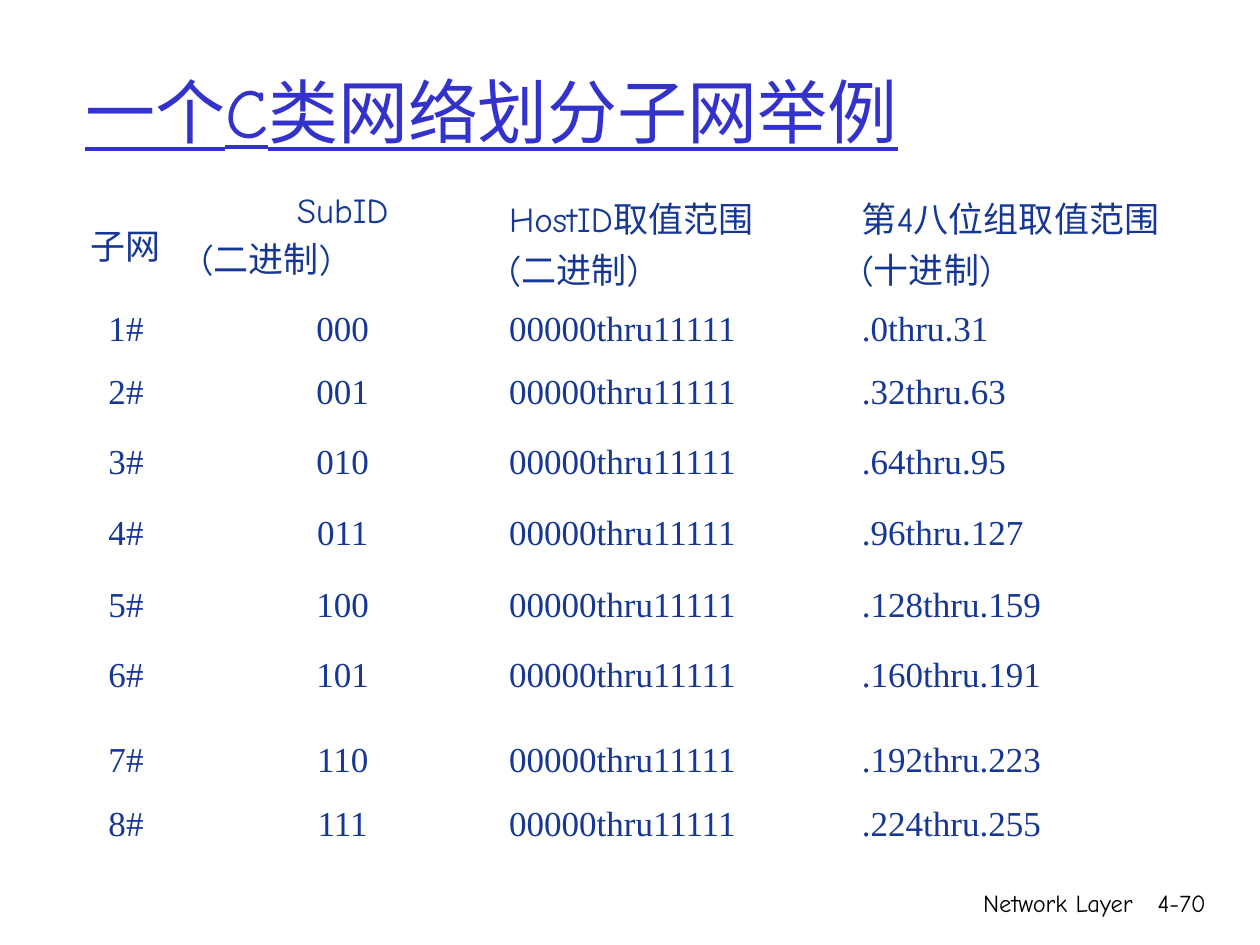
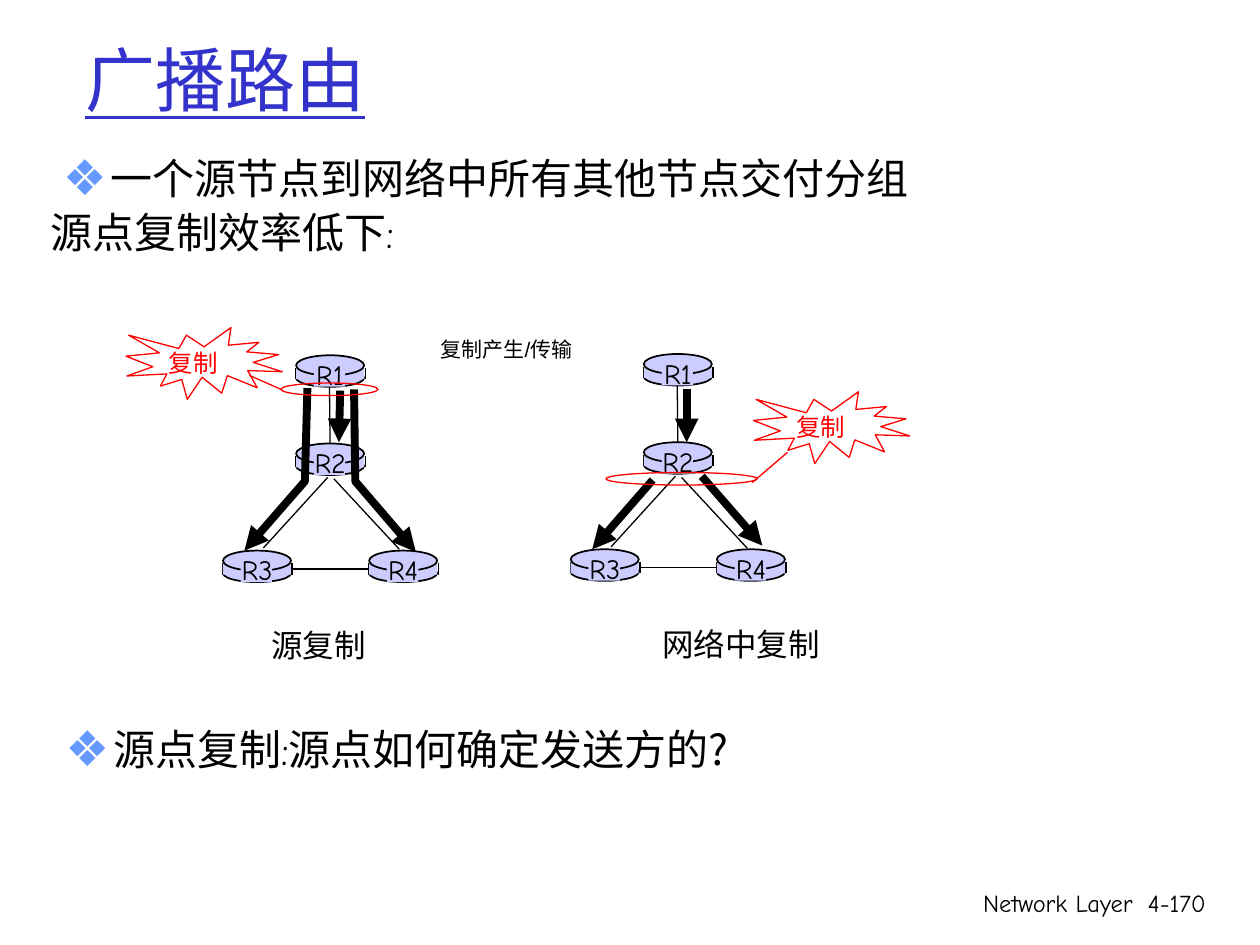
from dataclasses import dataclass

from lxml import etree
from pptx import Presentation
from pptx import util as u
from pptx.dml.color import RGBColor
from pptx.enum import shapes, text
from pptx.oxml.ns import qn

Inches, Pt = u.Inches, u.Pt
LEFT, CENTER, RIGHT = text.PP_ALIGN.LEFT, text.PP_ALIGN.CENTER, text.PP_ALIGN.RIGHT
TOP, MIDDLE = text.MSO_ANCHOR.TOP, text.MSO_ANCHOR.MIDDLE
OVAL = shapes.MSO_SHAPE.OVAL
RECTANGLE = shapes.MSO_SHAPE.RECTANGLE
SEAL = shapes.MSO_SHAPE.EXPLOSION1


@dataclass(frozen=True)
class Theme:
    # Colours
    title: str = "3333CC"
    ink: str = "000000"
    table: str = "163794"
    paper: str = "FFFFFF"
    router: str = "CCCCFF"
    bullet: str = "6699FF"
    alert: str = "FF0000"
    # Fonts
    main: str = "Comic Neue"
    plain: str = "Arial"
    figures: str = "Times New Roman"
    cjk: str = "Noto Sans CJK SC"
    # Type sizes
    title_size: int = 40
    body_size: int = 24
    table_size: int = 20
    caption_size: int = 18
    router_size: int = 16
    small_size: int = 14
    note_size: int = 12
    # Line widths
    thin: float = 0.75
    outline: float = 1
    arrow: float = 4.5


class Deck:
    """Holds the theme and the slide being drawn."""

    def __init__(self, theme):
        self.theme = theme
        self.prs = Presentation()
        self.prs.slide_width, self.prs.slide_height = Inches(10), Inches(7.5)
        self.slide = None

    def new_slide(self, number):
        self.slide = self.prs.slides.add_slide(self.prs.slide_layouts[6])
        for left, width, words in ((5.92, 3.17, "Network Layer"), (8.93, 0.74, number)):
            self.label(words, (left, 7, width, 0.5), self.theme.small_size, align=RIGHT)

    def font(self, paragraph, size, name, color, underline=None):
        font = paragraph.font
        font.size, font.name, font.underline = Pt(size), name, underline
        font.color.rgb = RGBColor.from_string(color)

    def frame(self, box, anchor=TOP, wrap=True):
        frame = self.slide.shapes.add_textbox(*map(Inches, box)).text_frame
        frame.word_wrap, frame.vertical_anchor = wrap, anchor
        return frame

    def label(self, words, box, size, name=None, color=None, align=CENTER, wrap=False):
        paragraph = self.frame(box, wrap=wrap).paragraphs[0]
        paragraph.text, paragraph.alignment = words, align
        self.font(paragraph, size, name or self.theme.main, color or self.theme.ink)

    def title(self, words, top):
        paragraph = self.frame((0.58, top, 8.5, 1.25), MIDDLE).paragraphs[0]
        paragraph.text = words
        self.font(paragraph, self.theme.title_size, self.theme.main, self.theme.title, True)

    def bullet(self, paragraph):
        props = paragraph._p.get_or_add_pPr()
        props.set("marL", str(Inches(0.48)))
        props.set("indent", str(Inches(-0.38)))
        color = etree.SubElement(props, qn("a:buClr"))
        etree.SubElement(color, qn("a:srgbClr"), val=self.theme.bullet)
        etree.SubElement(props, qn("a:buSzPct"), val="117000")
        etree.SubElement(props, qn("a:buFont"), typeface=self.theme.plain)
        etree.SubElement(props, qn("a:buChar"), char="❖")

    def body(self, lines, box):
        """Write (words, bulleted) lines and return their paragraphs."""
        frame = self.frame(box)
        paragraphs = []
        for i, (words, bulleted) in enumerate(lines):
            paragraph = frame.add_paragraph() if i else frame.paragraphs[0]
            paragraph.text = words
            if bulleted:
                self.bullet(paragraph)
            paragraph.line_spacing = 0.9
            if i:
                paragraph.space_before = Pt(5)
            self.font(paragraph, self.theme.body_size, self.theme.main, self.theme.ink)
            paragraphs.append(paragraph)
        return paragraphs

    def table(self, rows, box, widths, heights):
        table = self.slide.shapes.add_table(len(rows), len(widths), *map(Inches, box)).table
        table.first_row = table.horz_banding = False
        for column, width in zip(table.columns, widths):
            column.width = Inches(width)
        for row, height in zip(table.rows, heights):
            row.height = Inches(height)
        for r, row in enumerate(rows):
            for c, words in enumerate(row):
                cell = table.cell(r, c)
                cell.text = words
                cell.fill.solid()
                cell.fill.fore_color.rgb = RGBColor.from_string(self.theme.paper)
                name = self.theme.figures if r else self.theme.main
                for i, paragraph in enumerate(cell.text_frame.paragraphs):
                    paragraph.alignment = CENTER if c < 2 and i == 0 else LEFT
                    self.font(paragraph, self.theme.table_size, name, self.theme.table)
        return table

    def stroke(self, shape, color, width, arrow=False):
        shape.line.color.rgb = RGBColor.from_string(color)
        shape.line.width = Pt(width)
        if arrow:
            etree.SubElement(shape.line._get_or_add_ln(), qn("a:tailEnd"), type="triangle")

    def shape(self, kind, box, fill=None, line=None, width=0.75):
        shape = self.slide.shapes.add_shape(kind, *map(Inches, box))
        shape.shadow.inherit = False
        if fill:
            shape.fill.solid()
            shape.fill.fore_color.rgb = RGBColor.from_string(fill)
        else:
            shape.fill.background()
        if line:
            self.stroke(shape, line, width)
        else:
            shape.line.fill.background()
        return shape

    def line(self, start, end, width=0.75, color=None, arrow=False):
        line = self.slide.shapes.add_connector(
            shapes.MSO_CONNECTOR.STRAIGHT, *map(Inches, start + end))
        self.stroke(line, color or self.theme.ink, width, arrow)
        etree.SubElement(line._element.spPr, qn("a:effectLst"))
        return line

    def join(self, source, source_side, target, target_side):
        line = self.line((0, 0), (1, 1), self.theme.thin)
        line.begin_connect(source, source_side)
        line.end_connect(target, target_side)

    def bent_arrow(self, points):
        start, *rest = [tuple(map(Inches, point)) for point in points]
        builder = self.slide.shapes.build_freeform(*start)
        builder.add_line_segments(rest, close=False)
        arrow = builder.convert_to_shape()
        arrow.shadow.inherit = False
        arrow.fill.background()
        self.stroke(arrow, self.theme.ink, self.theme.arrow, True)

    def router(self, name, x, y):
        """Draw a router cylinder and return its cap, body and name plate."""
        t = self.theme
        self.shape(OVAL, (x, y + 0.11, 0.54, 0.14), t.router, t.ink, t.outline)
        for side in (x, x + 0.55):
            self.line((side, y + 0.1), (side, y + 0.19), t.outline)
        body = self.shape(RECTANGLE, (x, y + 0.1, 0.54, 0.09), t.router)
        cap = self.shape(OVAL, (x, y, 0.54, 0.16), t.router, t.ink, t.outline)
        plate = self.shape(RECTANGLE, (x + 0.14, y + 0.02, 0.25, 0.23), t.router)
        self.label(name, (x + 0.03, y - 0.03, 0.48, 0.37), t.router_size)
        return cap, body, plate

    def network(self, dx, dy, caption, caption_center):
        """Draw four routers with their links, moved by dx and dy."""
        places = {"R1": (2.35, 2.82), "R2": (2.35, 3.52), "R3": (1.77, 4.37), "R4": (2.93, 4.37)}
        routers = {name: self.router(name, x + dx, y + dy) for name, (x, y) in places.items()}
        self.join(routers["R1"][2], 2, routers["R2"][0], 0)
        self.join(routers["R3"][1], 3, routers["R4"][1], 1)
        for (x1, y1), (x2, y2) in (((2.6, 3.79), (2.09, 4.35)), ((2.65, 3.8), (3.17, 4.36))):
            self.line((x1 + dx, y1 + dy), (x2 + dx, y2 + dy), self.theme.thin)
        self.label(caption, (caption_center - 0.75, 4.92 + dy, 1.5, 0.4),
                   self.theme.caption_size, self.theme.plain)

    def copy_burst(self, x, y, ring, pointer):
        """Draw a burst saying that copies are made at the ringed links."""
        red = self.theme.alert
        self.shape(SEAL, (x, y, 1.24, 0.57), line=red)
        self.label("复制", (x + 0.24, y + 0.11, 0.6, 0.34), self.theme.small_size,
                   self.theme.plain, red, LEFT)
        self.shape(OVAL, ring, line=red)
        self.line(*pointer, color=red)


def subnet_slide(deck):
    deck.new_slide("4-70")
    header = ["子网", "SubID\n(二进制)", "HostID取值范围\n(二进制)", "第4八位组取值范围\n(十进制)"]
    size = 32
    subnets = [[f"{i + 1}#", f"{i:03b}", "00000thru11111", f".{size * i}thru.{size * (i + 1) - 1}"]
               for i in range(8)]
    table = deck.table([header] + subnets, (0.5, 1.47, 9, 5.44), (1, 2.44, 2.8, 2.76),
                       (0.94, 0.5, 0.56, 0.56, 0.57, 0.56, 0.57, 0.61, 0.57))
    table.cell(0, 0).vertical_anchor = MIDDLE
    for column in range(4):
        table.cell(7, column).vertical_anchor = MIDDLE
    deck.title("一个C类网络划分子网举例", 0.25)


def broadcast_slide(deck):
    theme = deck.theme
    deck.new_slide("4-170")

    # Copies made at the source
    deck.network(0, 0, "源复制", 2.53)
    deck.line((2.7, 3.1), (2.69, 3.51), theme.arrow, arrow=True)
    deck.bent_arrow([(2.81, 3.09), (2.82, 3.82), (3.3, 4.38)])
    deck.bent_arrow([(2.44, 3.08), (2.42, 3.82), (1.94, 4.37)])
    deck.copy_burst(1, 2.6, (2.23, 3.04, 0.77, 0.1), ((2.23, 3.09), (1.98, 2.98)))

    # Copies made in the network
    deck.network(2.76, -0.01, "网络中复制", 5.88)
    for start, end in (((5.45, 3.09), (5.45, 3.51)), ((5.57, 3.78), (6.05, 4.33)),
                       ((5.18, 3.81), (4.7, 4.36))):
        deck.line(start, end, theme.arrow, arrow=True)
    deck.copy_burst(5.98, 3.11, (4.81, 3.75, 1.2, 0.1), ((6.25, 3.59), (5.97, 3.83)))
    deck.label("复制产生/传输", (3.39, 2.62, 1.26, 0.3), theme.note_size, theme.plain, wrap=True)

    # Title and statements
    deck.title("广播路由", 0)
    deck.body([("一个源节点到网络中所有其他节点交付分组", True), ("源点复制效率低下:", False)],
              (0.3, 1.21, 9.38, 1.06))
    question, = deck.body([("源点复制:源点如何确定发送方的", True)], (0.32, 5.74, 8.88, 1.06))
    mark = question.add_run()
    mark.text = "?"
    mark.font.name = theme.cjk


def main():
    deck = Deck(Theme())
    subnet_slide(deck)
    broadcast_slide(deck)
    deck.prs.save("out.pptx")


if __name__ == "__main__":
    main()
